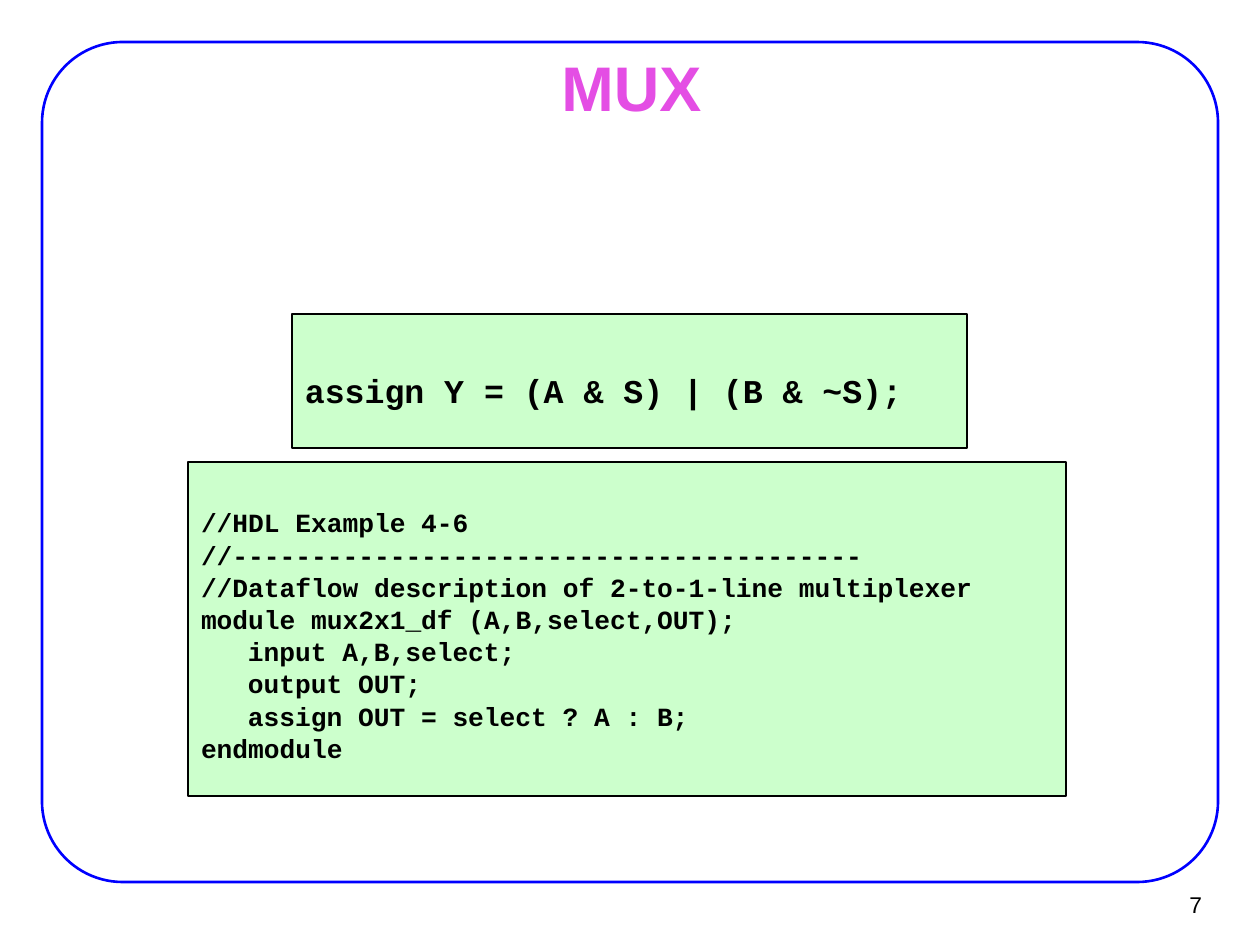
from pptx import Presentation
from pptx.dml.color import RGBColor
from pptx.enum.shapes import MSO_SHAPE
from pptx.enum.text import MSO_ANCHOR, MSO_AUTO_SIZE, PP_ALIGN
from pptx.util import Emu, Pt

PX = 914400 / 126
BLACK = RGBColor(0x00, 0x00, 0x00)
BLUE = RGBColor(0x00, 0x00, 0xFF)
GREEN = RGBColor(0xCC, 0xFF, 0xCC)
PINK = RGBColor(0xE4, 0x4E, 0xE4)
INDENT = 47  # three characters of 15 pt code

MUX_ASSIGN = [(0, "assign Y = (A & S) | (B & ~S);")]
MUX_MODULE = [
    (0, "//HDL Example 4-6"),
    (0, "//" + "-" * 40),
    (0, "//Dataflow description of 2-to-1-line multiplexer"),
    (0, "module mux2x1_df (A,B,select,OUT);"),
    (1, "input A,B,select;"),
    (1, "output OUT;"),
    (1, "assign OUT = select ? A : B;"),
    (0, "endmodule"),
]


def px(n):
    return Emu(round(n * PX))


def set_all(obj, **values):
    for name, value in values.items():
        setattr(obj, name, value)


def place(sp, box):
    set_all(sp, **dict(zip(("left", "top", "width", "height"), map(px, box))))


def set_frame(tf, insets, **values):
    names = ("margin_left", "margin_top", "margin_right", "margin_bottom")
    set_all(tf, auto_size=MSO_AUTO_SIZE.NONE, **values)
    set_all(tf, **dict(zip(names, map(px, insets))))


def add_line(p, text, color, **font):
    r = p.add_run()
    r.text = text
    set_all(r.font, **font)
    r.font.color.rgb = color


def add_box(s, kind, box, line, width):
    sp = s.shapes.add_shape(kind, *map(px, box))
    sp.shadow.inherit = False
    sp.line.color.rgb = line
    sp.line.width = Pt(width)
    return sp


def add_border(s, box):
    sp = add_box(s, MSO_SHAPE.ROUNDED_RECTANGLE, box, BLUE, 1.5)
    sp.adjustments[0] = 0.096
    sp.fill.background()


def add_title(s, box, text):
    sp = s.shapes.title
    place(sp, box)
    tf = sp.text_frame
    set_frame(tf, (14, 8, 14, 8), word_wrap=True, vertical_anchor=MSO_ANCHOR.MIDDLE)
    p = tf.paragraphs[0]
    p.alignment = PP_ALIGN.CENTER
    add_line(p, text, PINK, name="Arial", size=Pt(36), bold=True)


def add_code(s, box, lines, size, top):
    sp = add_box(s, MSO_SHAPE.RECTANGLE, box, BLACK, 0.74)
    sp.fill.solid()
    sp.fill.fore_color.rgb = GREEN
    tf = sp.text_frame
    set_frame(tf, (13, top, 13, 6), word_wrap=True, vertical_anchor=MSO_ANCHOR.TOP)
    for i, (level, text) in enumerate(lines):
        p = tf.add_paragraph() if i else tf.paragraphs[0]
        set_all(p, alignment=PP_ALIGN.LEFT, line_spacing=Pt(round(size * 1.225, 1)))
        if level:
            p._p.get_or_add_pPr().set("marL", str(px(INDENT * level)))
        add_line(p, text, BLACK, name="Courier New", size=Pt(size), bold=True)


def add_page_number(s, box, number):
    tf = s.shapes.add_textbox(*map(px, box)).text_frame
    set_frame(tf, (11, 5, 11, 5), word_wrap=False, vertical_anchor=MSO_ANCHOR.MIDDLE)
    p = tf.paragraphs[0]
    p.alignment = PP_ALIGN.RIGHT
    add_line(p, number, BLACK, name="Arial", size=Pt(13))


prs = Presentation()
set_all(prs, slide_width=px(1260), slide_height=px(945))
s = prs.slides.add_slide(prs.slide_layouts[5])

# Border, page number and title
add_border(s, (42, 42, 1176, 840))
add_page_number(s, (1136, 881, 77, 47), "7")
add_title(s, (96, 55, 1071, 62), "MUX")

# Code panels
add_code(s, (292, 314, 675, 134), MUX_ASSIGN, 19, 55)
add_code(s, (188, 462, 878, 334), MUX_MODULE, 15, 44)

prs.save("out.pptx")
